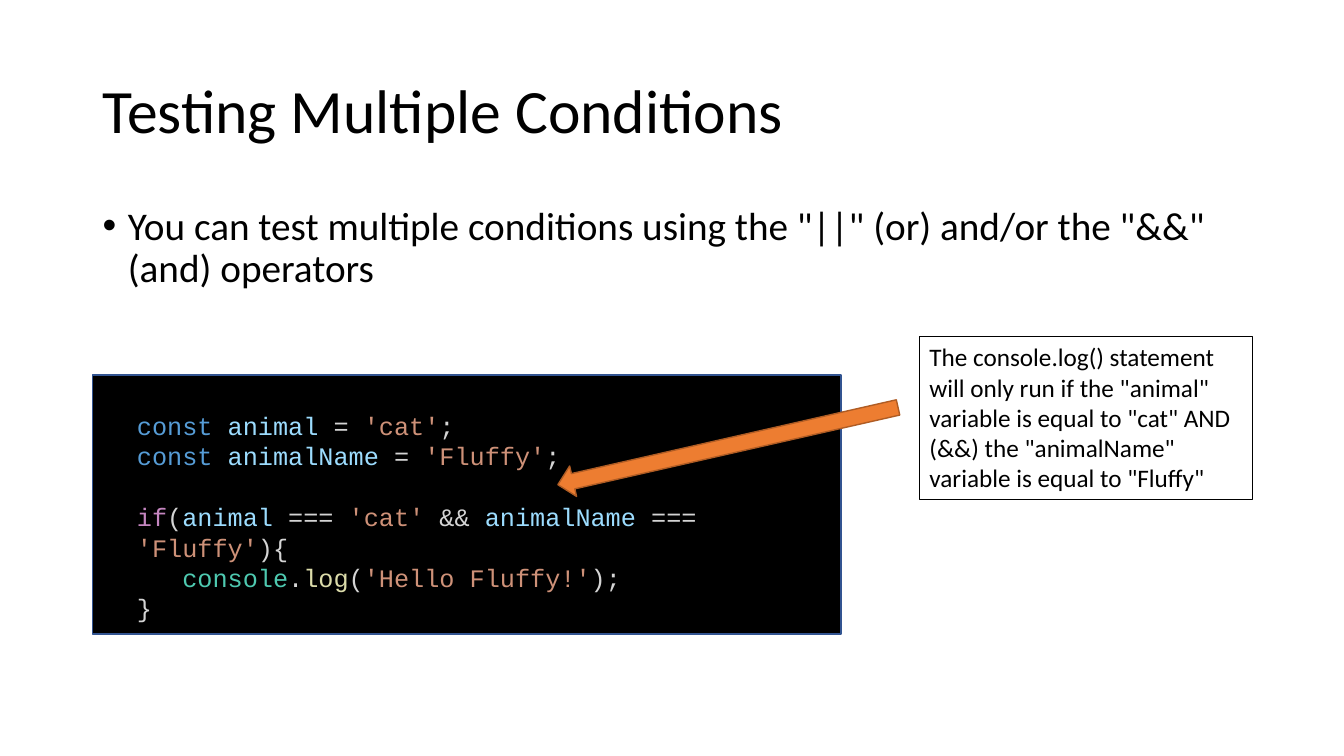
from pptx import Presentation
from pptx.dml.color import RGBColor
from pptx.enum.shapes import MSO_SHAPE
from pptx.enum.text import MSO_ANCHOR, PP_ALIGN
from pptx.oxml import parse_xml
from pptx.oxml.ns import nsdecls
from pptx.util import Inches, Pt

COLORS = {
    "black": "000000", "panel_line": "325491",
    "arrow": "ED7D31", "arrow_line": "AF5C24",
    "keyword": "569CD6", "variable": "9CDCFE", "plain": "D4D4D4",
    "string": "CE9178", "control": "C586C0", "object": "4EC9B0",
    "method": "DCDCAA",
}


def add_run(p, text, size, color="black", font="Calibri"):
    r = p.add_run()
    r.text = text
    for name, value in {"name": font, "size": Pt(size)}.items():
        setattr(r.font, name, value)
    r.font.color.rgb = RGBColor.from_string(COLORS[color])


def add_box(shape, left, top, width, height, fill=None, line=None, weight=1):
    """Add a preset shape without shadow; no fill or line unless given."""
    sp = s.shapes.add_shape(shape, Inches(left), Inches(top), Inches(width), Inches(height))
    sp.shadow.inherit = False
    if fill:
        sp.fill.solid()
        sp.fill.fore_color.rgb = RGBColor.from_string(COLORS[fill])
    else:
        sp.fill.background()
    sp.line.color.rgb = RGBColor.from_string(COLORS[line])
    sp.line.width = Pt(weight)
    return sp


prs = Presentation()
prs.slide_width, prs.slide_height = Inches(13.33), Inches(7.5)
s = prs.slides.add_slide(prs.slide_layouts[6])

# Title and bullet
title = s.shapes.add_textbox(Inches(0.92), Inches(0.4), Inches(11.5), Inches(1.45))
body = s.shapes.add_textbox(Inches(0.92), Inches(2), Inches(11.5), Inches(4.76))
title.text_frame.vertical_anchor = MSO_ANCHOR.MIDDLE
for box, text, size in (
    (title, "Testing Multiple Conditions", 44),
    (body, 'You can test multiple conditions using the "||" (or) and/or the "&&" (and) operators', 28),
):
    box.text_frame.word_wrap = True
    p = box.text_frame.paragraphs[0]
    p.line_spacing = 0.9
    add_run(p, text, size)

pPr = body.text_frame.paragraphs[0]._p.get_or_add_pPr()
pPr.set("marL", str(Inches(0.25)))
pPr.set("indent", str(Inches(-0.25)))
pPr.append(parse_xml(f'<a:buFont {nsdecls("a")} typeface="Arial"/>'))
pPr.append(parse_xml(f'<a:buChar {nsdecls("a")} char="•"/>'))

# Code panel, callout and arrow
add_box(MSO_SHAPE.RECTANGLE, 0.92, 3.72, 7.42, 2.57, "black", "panel_line")

callout = add_box(MSO_SHAPE.RECTANGLE, 9.12, 3.34, 3.3, 1.62, line="black", weight=0.75)
tf = callout.text_frame
tf.word_wrap = True
tf.vertical_anchor = MSO_ANCHOR.TOP
p = tf.paragraphs[0]
p.alignment = PP_ALIGN.LEFT
add_run(p, 'The console.log() statement will only run if the "animal" variable is equal to '
           '"cat" AND (&&) the "animalName" variable is equal to "Fluffy"', 18)

arrow = add_box(MSO_SHAPE.RIGHT_ARROW, 5.49, 4.27, 3.46, 0.31, "arrow", "arrow_line")
arrow.rotation = 167.2

# Code, one list of (text, colour) pairs per line
code_lines = [
    [("const ", "keyword"), ("animal", "variable"), (" = ", "plain"),
     ("'cat'", "string"), (";", "plain")],
    [("const ", "keyword"), ("animalName", "variable"), (" = ", "plain"),
     ("'Fluffy'", "string"), (";", "plain")],
    [("if", "control"), ("(", "plain"), ("animal", "variable"), (" === ", "plain"),
     ("'cat'", "string"), (" && ", "plain"), ("animalName", "variable"),
     (" === ", "plain"), ("'Fluffy'", "string"), ("){", "plain")],
    [("   console", "object"), (".", "plain"), ("log", "method"), ("(", "plain"),
     ("'Hello Fluffy!'", "string"), (");", "plain")],
    [("}", "plain")],
]
LINE_PITCH = Pt(21.7)
code = s.shapes.add_textbox(Inches(1.26), Inches(4.02), Inches(7.07), Inches(1.92))
tf = code.text_frame
tf.word_wrap = True
for i, tokens in enumerate(code_lines):
    p = tf.add_paragraph() if i else tf.paragraphs[0]
    p.line_spacing = LINE_PITCH
    if tokens[0][0] == "if":
        p.space_before = LINE_PITCH
    for text, color in tokens:
        add_run(p, text, 18, color, "Courier New")

prs.save("out.pptx")
